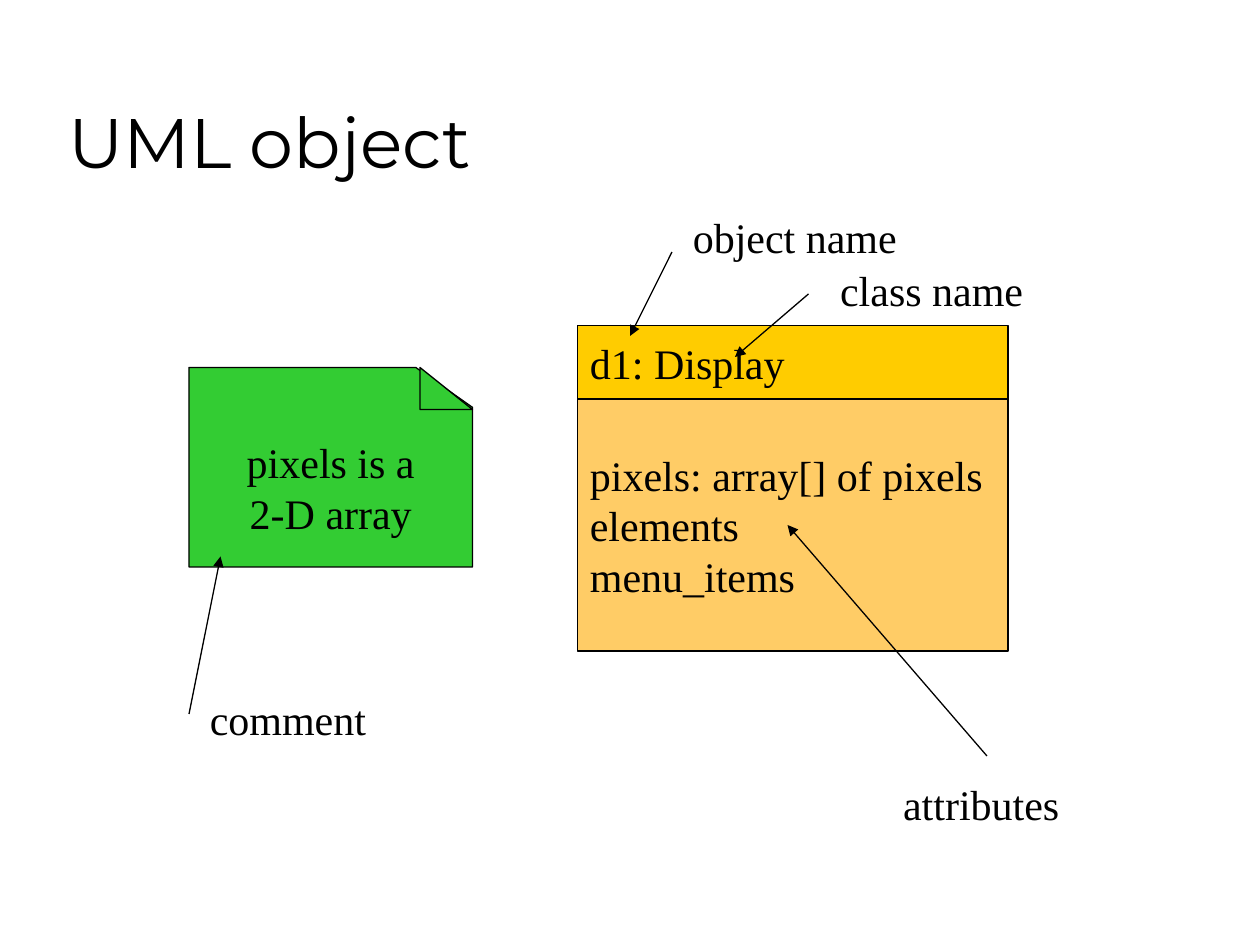
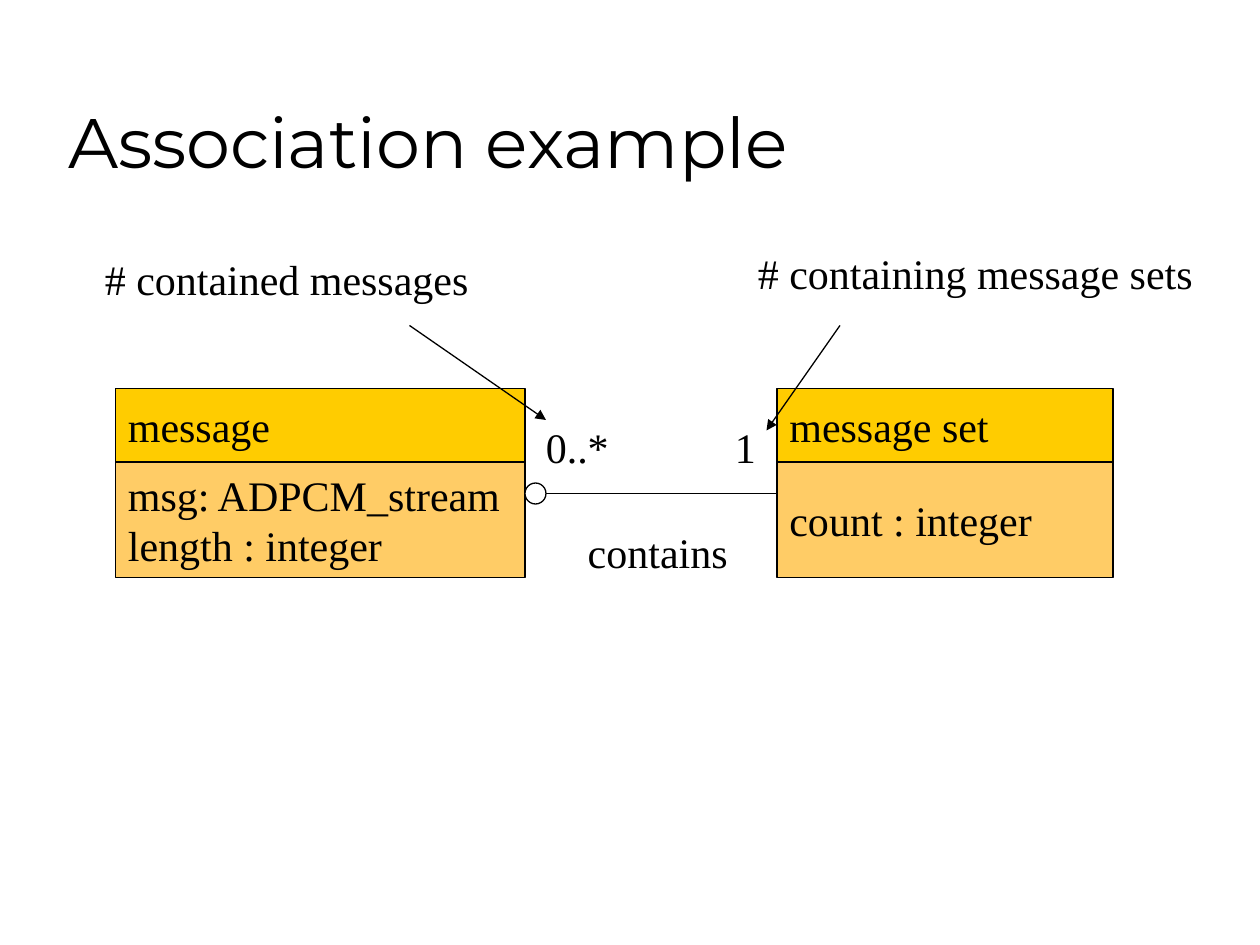
import pptx
import pptx.util
import pptx.dml.color
import pptx.enum.shapes
import pptx.enum.text
import pptx.oxml.ns
from lxml import etree

Pt = pptx.util.Pt
Kind = pptx.enum.shapes.MSO_SHAPE
Align = pptx.enum.text.PP_ALIGN
Anchor = pptx.enum.text.MSO_ANCHOR
qn = pptx.oxml.ns.qn

INK, PAPER = "000000", "FFFFFF"
GOLD, SAND, GREEN = "FFCC00", "FFCC66", "33CC33"
SERIF, SANS = "Times New Roman", "Montserrat"
HEAD = 42  # height of the name band of a class box


def color(code):
    return pptx.dml.color.RGBColor.from_string(code)


def write(frame, lines, font=SERIF, size=24, align=Align.LEFT):
    """Put each line in its own paragraph."""
    frame.margin_left = frame.margin_right = Pt(7.2)
    frame.margin_top = frame.margin_bottom = Pt(3.6)
    for i, line in enumerate(lines):
        para = frame.add_paragraph() if i else frame.paragraphs[0]
        para.alignment = align
        run = para.add_run()
        run.text = line
        run.font.name = font
        run.font.size = Pt(size)
        run.font.color.rgb = color(INK)


def place(x, y, w, h):
    return Pt(x), Pt(y), Pt(w), Pt(h)


def start(deck, title):
    """Add a blank slide with its title."""
    slide = deck.slides.add_slide(deck.slide_layouts[6])
    frame = slide.shapes.add_textbox(*place(32, 18, 612, 90)).text_frame
    frame.word_wrap = True
    frame.vertical_anchor = Anchor.BOTTOM
    write(frame, [title], SANS, 40)
    return slide


def shape(slide, kind, box, fill, lines=(), align=Align.LEFT):
    item = slide.shapes.add_shape(kind, *place(*box))
    item.shadow.inherit = False
    item.fill.solid()
    item.fill.fore_color.rgb = color(fill)
    item.line.color.rgb = color(INK)
    item.line.width = Pt(0.75)
    item.text_frame.word_wrap = True
    item.text_frame.vertical_anchor = Anchor.MIDDLE
    write(item.text_frame, lines, align=align)
    return item


def entity(slide, x, y, w, h, name, fields):
    """Draw a UML box: a name band over a field list of height h."""
    shape(slide, Kind.RECTANGLE, (x, y, w, HEAD), GOLD, [name])
    shape(slide, Kind.RECTANGLE, (x, y + HEAD, w, h), SAND, fields)


def note(slide, x, y, w, h, lines):
    """Draw a comment sheet with its top right corner folded."""
    card = shape(slide, Kind.FLOWCHART_CARD, (x, y, w, h), GREEN,
                 lines, Align.CENTER)
    card._element.spPr.find(qn("a:xfrm")).set("flipH", "1")
    shape(slide, Kind.RIGHT_TRIANGLE, (x + w - 30, y, 30, 24), GREEN)


def link(slide, start, end, arrow=False):
    line = slide.shapes.add_connector(
        pptx.enum.shapes.MSO_CONNECTOR.STRAIGHT, *place(*start, *end))
    line.line.color.rgb = color(INK)
    line.line.width = Pt(0.75)
    if arrow:
        etree.SubElement(line.line._get_or_add_ln(), qn("a:tailEnd"),
                         type="triangle")
    etree.SubElement(line._element.spPr, qn("a:effectLst"))


def label(slide, x, y, w, text):
    frame = slide.shapes.add_textbox(*place(x, y, w, 36)).text_frame
    frame.word_wrap = False
    write(frame, [text])


def callout(slide, start, end, x, y, w, text):
    """Add a label and the arrow that leads from it to its target."""
    link(slide, start, end, arrow=True)
    label(slide, x, y, w, text)


def uml(deck):
    slide = start(deck, "UML object")
    entity(slide, 330, 186, 246, 144, "d1: Display",
           ["pixels: array[] of pixels", "elements", "menu_items"])
    note(slide, 108, 210, 162, 114, ["pixels is a", "2-D array"])
    for tip in (
        ((108, 408), (126, 318), 112.8, 393, 106, "comment"),
        ((384, 144), (360, 192), 388.8, 117.3, 133, "object name"),
        ((462, 168), (420, 204), 473, 147.6, 121, "class name"),
        ((564, 432), (450, 300), 509, 441.3, 106, "attributes"),
    ):
        callout(slide, *tip)


def assoc(deck):
    slide = start(deck, "Association example")
    entity(slide, 66, 222, 234, 66, "message",
           ["msg: ADPCM_stream", "length : integer"])
    entity(slide, 444, 222, 192, 66, "message set", ["count : integer"])
    link(slide, (300, 282), (444, 282))
    shape(slide, Kind.OVAL, (300, 276, 12, 12), PAPER)
    label(slide, 304.8, 237.3, 53, "0..*")
    label(slide, 412.8, 237.3, 28, "1")
    label(slide, 328.8, 297.3, 97, "contains")
    callout(slide, (234, 186), (312, 240), 52.8, 141.3, 225,
            "# contained messages")
    callout(slide, (480, 186), (438, 246), 426, 138, 266,
            "# containing message sets")


def main():
    deck = pptx.Presentation()
    deck.slide_width, deck.slide_height = Pt(720), Pt(540)
    uml(deck)
    assoc(deck)
    deck.save("out.pptx")


if __name__ == "__main__":
    main()
